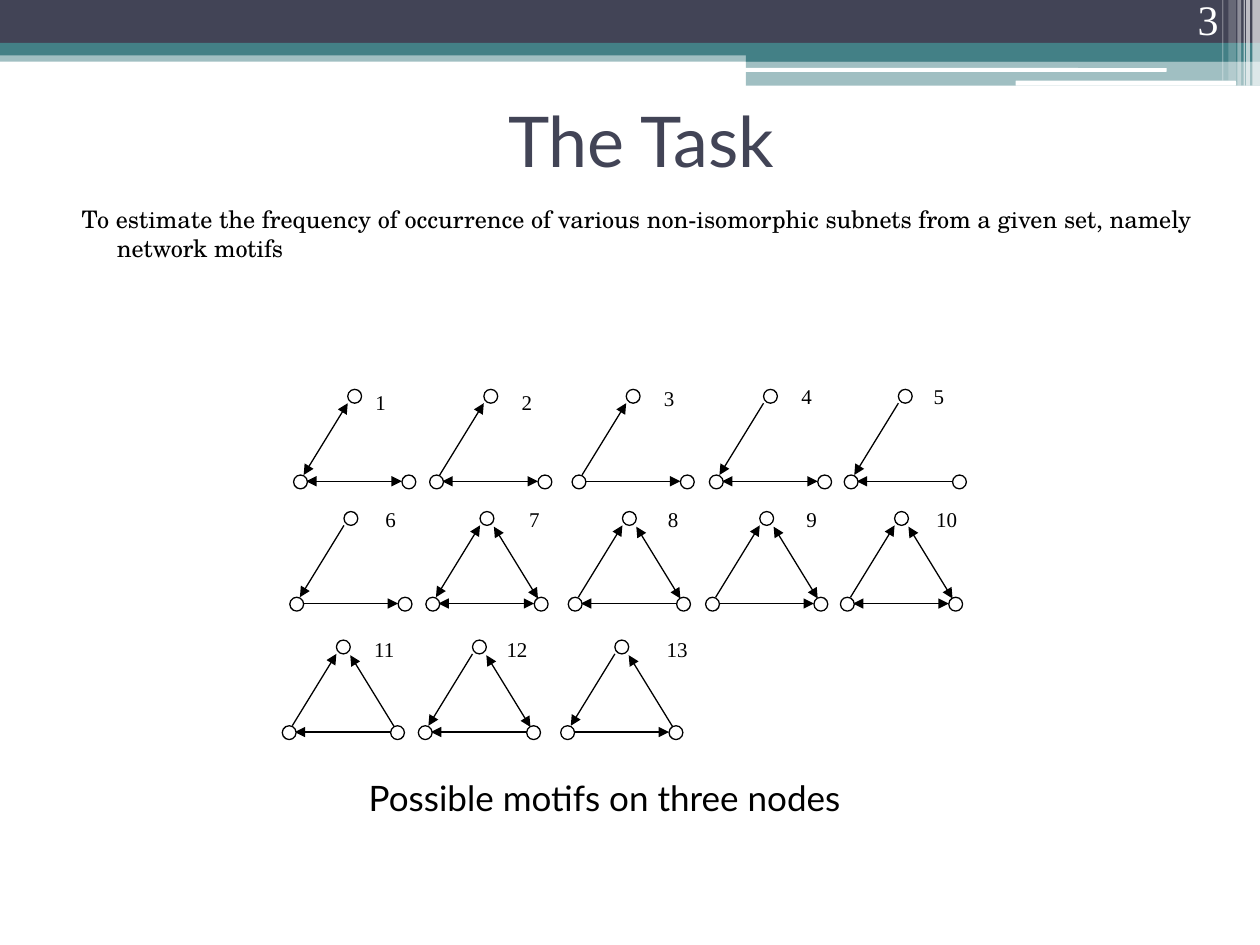
"""Build the slide that lists the thirteen possible motifs on three nodes."""
from lxml import etree
from pptx import Presentation
from pptx.dml.color import RGBColor
from pptx.enum.shapes import MSO_CONNECTOR, MSO_SHAPE
from pptx.enum.text import MSO_ANCHOR, PP_ALIGN
from pptx.oxml.ns import qn
from pptx.util import Inches, Pt

RECT, ROUND, OVAL = MSO_SHAPE.RECTANGLE, MSO_SHAPE.ROUNDED_RECTANGLE, MSO_SHAPE.OVAL
STRAIGHT = MSO_CONNECTOR.STRAIGHT
LEFT, CENTER, RIGHT = PP_ALIGN.LEFT, PP_ALIGN.CENTER, PP_ALIGN.RIGHT
TOP, MIDDLE, BOTTOM = MSO_ANCHOR.TOP, MSO_ANCHOR.MIDDLE, MSO_ANCHOR.BOTTOM

THEME = {
    "navy": RGBColor(0x42, 0x44, 0x56),
    "teal": RGBColor(0x43, 0x80, 0x86),
    "white": RGBColor(0xFF, 0xFF, 0xFF),
    "black": RGBColor(0, 0, 0),
    "sans": "Lato", "book": "TeX Gyre Schola", "roman": "Times New Roman",
    "title": 40, "body": 13.8, "caption": 20, "number": 24, "label": 12, "line": 0.75,
}

prs = Presentation()
prs.slide_width, prs.slide_height = Inches(10), Inches(7.5)
COLS = 10
UNIT = prs.slide_width / COLS
s = prs.slides.add_slide(prs.slide_layouts[6])


def add_shape(parent, kind, box, fill, line=None, alpha=100):
    sp = parent.shapes.add_shape(kind, *(round(v * UNIT) for v in box))
    sp.shadow.inherit = False
    sp.fill.solid()
    sp.fill.fore_color.rgb = THEME[fill]
    if alpha < 100:
        color = sp.fill._xPr.find(qn("a:solidFill"))[0]
        etree.SubElement(color, qn("a:alpha"), val=str(alpha * 1000))
    if line:
        sp.line.color.rgb = THEME[line]
        sp.line.width = Pt(THEME["line"])
    else:
        sp.line.fill.background()
    return sp


def write(sp, text, font, size, color, align=LEFT, anchor=TOP, wrap=True):
    tf = sp.text_frame
    tf.word_wrap, tf.vertical_anchor = wrap, anchor
    p = tf.paragraphs[0]
    p.text, p.alignment = text, align
    p.font.name, p.font.size = THEME[font], Pt(THEME[size])
    p.font.color.rgb = THEME[color]
    return tf


BANDS = [
    (RECT, (0, 0.4, COLS, 0.09), "teal", 50),
    (RECT, (0, 0, COLS, 0.34), "navy", 100),
    (RECT, (0, 0.34, COLS, 0.1), "teal", 100),
    (RECT, (5.92, 0.39, 4.08, 0.1), "teal", 100),
    (RECT, (5.92, 0.48, 4.08, 0.2), "teal", 50),
    (ROUND, (5.91, 0.54, 3.35, 0.03), "white", 100),
    (ROUND, (8.06, 0.64, 1.75, 0.04), "white", 100),
    (RECT, (9.94, 0, 0.06, 0.68), "white", 65),
    (RECT, (9.89, 0, 0.03, 0.68), "white", 65),
    (RECT, (9.87, 0, 0.01, 0.68), "white", 60),
    (RECT, (9.82, 0, 0.03, 0.68), "white", 40),
    (RECT, (9.75, 0, 0.06, 0.64), "white", 20),
    (RECT, (9.7, 0, 0.01, 0.64), "white", 30),
]
for kind, box, fill, alpha in BANDS:
    add_shape(s, kind, box, fill, alpha=alpha)

TEXTS = [
    ((0.59, 0.52, 9, 1.17), "The Task", "sans", "title", "navy", CENTER, MIDDLE, True),
    ((0.43, 1.57, 9.16, 0.81),
     "To estimate the frequency of occurrence of various non-isomorphic subnets "
     "from a given set, namely network motifs",
     "book", "body", "black", LEFT, TOP, True),
    ((2.68, 6.11, 4.24, 0.44), "Possible motifs on three nodes",
     "sans", "caption", "black", CENTER, MIDDLE, False),
    ((8.94, 0, 0.83, 0.4), "3", "roman", "number", "white", RIGHT, BOTTOM, True),
]
for box, *style in TEXTS:
    tb = s.shapes.add_textbox(*(round(v * UNIT) for v in box))
    tf = write(tb, *style)
    if style[2] == "body":
        pPr = tf.paragraphs[0]._p.get_or_add_pPr()
        pPr.set("marL", str(Inches(0.4)))
        pPr.set("indent", str(Inches(-0.28)))

COLUMN_X = [0, 1.08, 2.21, 3.3, 4.37]
ROW_ORIGINS = [(2.33, 3.09), (2.3, 4.06), (2.24, 5.08)]
NODE = 0.11
NODES = [(0, 0.68), (0.43, 0), (0.86, 0.68)]
EDGES = [(0.1, 0.73, 0.86, 0.73), (0.08, 0.68, 0.43, 0.11), (0.89, 0.69, 0.54, 0.12)]
HEADS = {"↔": ("headEnd", "tailEnd"), "→": ("tailEnd",), "←": ("headEnd",)}
MOTIFS = [
    ("↔↔", 0.65, 0), ("↔→", 0.73, 0), ("→→", 0.73, -0.03),
    ("↔←", 0.73, -0.05), ("←←", 0.71, -0.05),
    ("→←", 0.76, -0.04), ("↔↔↔", 0.82, -0.04), ("←→↔", 0.79, -0.04),
    ("→→↔", 0.8, -0.04), ("↔→↔", 0.76, -0.04),
    ("←→→", 0.73, -0.03), ("←←↔", 0.7, -0.03), ("→←→", 0.84, -0.03),
]
for i, (arrows, label_x, label_y) in enumerate(MOTIFS):
    row, col = divmod(i, len(COLUMN_X))
    x, y = ROW_ORIGINS[row]
    x += COLUMN_X[col]
    motif = s.shapes.add_group_shape()
    for arrow, (x1, y1, x2, y2) in zip(arrows, EDGES):
        ends = (x + x1, y + y1, x + x2, y + y2)
        edge = motif.shapes.add_connector(STRAIGHT, *(round(v * UNIT) for v in ends))
        edge.line.color.rgb = THEME["black"]
        edge.line.width = Pt(THEME["line"])
        for head in HEADS[arrow]:
            etree.SubElement(edge.line._get_or_add_ln(), qn(f"a:{head}"), type="triangle")
        etree.SubElement(edge._element.spPr, qn("a:effectLst"))
    for dx, dy in NODES:
        add_shape(motif, OVAL, (x + dx, y + dy, NODE, NODE), "white", "black")
    number = str(i + 1)
    width = 0.09 + 0.05 * len(number)
    sp = add_shape(motif, RECT, (x + label_x, y + label_y, width, 0.18), "white", "white")
    tf = write(sp, number, "roman", "label", "black")
    tf.margin_left = tf.margin_right = tf.margin_top = tf.margin_bottom = 0

prs.save("out.pptx")
